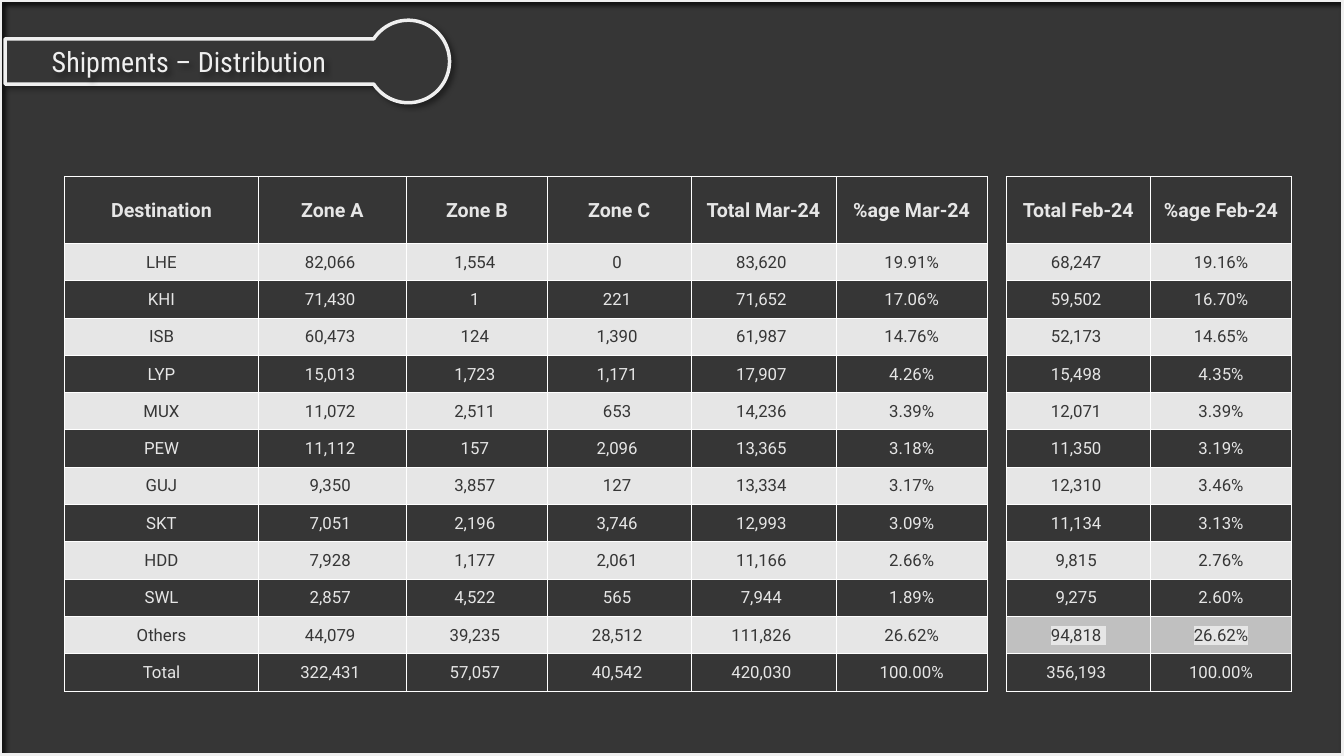
"""Build the shipments distribution slide."""
from math import acos, cos, pi, sin

from pptx import Presentation
from pptx.dml.color import RGBColor
from pptx.enum.shapes import MSO_SHAPE
from pptx.enum.text import MSO_ANCHOR, PP_ALIGN
from pptx.oxml import parse_xml
from pptx.oxml.ns import nsdecls, qn
from pptx.util import Cm, Pt

DARK = RGBColor(0x36, 0x36, 0x36)
LIGHT = RGBColor(0xE6, 0xE6, 0xE6)
OUTLINE = RGBColor(0xEF, 0xEF, 0xEF)
GRAY = RGBColor(0xC0, 0xC0, 0xC0)
WHITE = RGBColor(0xFF, 0xFF, 0xFF)
NO_STYLE = "{2D5ABB26-0587-4C30-8999-92F81FD0307C}"

SPACER = 6
COL_WIDTHS = [4.88, 3.73, 3.56, 3.61, 3.66, 3.81, 0.48, 3.63, 3.56]
HEADER_HEIGHT, ROW_HEIGHT = 1.68, 0.94
HEADERS = ["Destination", "Zone A", "Zone B", "Zone C", "Total Mar-24",
           "%age Mar-24", "", "Total Feb-24", "%age Feb-24"]
SHIPMENTS = [
    ("LHE", 82066, 1554, 0, 83620, 19.91, "", 68247, 19.16),
    ("KHI", 71430, 1, 221, 71652, 17.06, "", 59502, 16.70),
    ("ISB", 60473, 124, 1390, 61987, 14.76, "", 52173, 14.65),
    ("LYP", 15013, 1723, 1171, 17907, 4.26, "", 15498, 4.35),
    ("MUX", 11072, 2511, 653, 14236, 3.39, "", 12071, 3.39),
    ("PEW", 11112, 157, 2096, 13365, 3.18, "", 11350, 3.19),
    ("GUJ", 9350, 3857, 127, 13334, 3.17, "", 12310, 3.46),
    ("SKT", 7051, 2196, 3746, 12993, 3.09, "", 11134, 3.13),
    ("HDD", 7928, 1177, 2061, 11166, 2.66, "", 9815, 2.76),
    ("SWL", 2857, 4522, 565, 7944, 1.89, "", 9275, 2.60),
    ("Others", 44079, 39235, 28512, 111826, 26.62, "", 94818, 26.62),
    ("Total", 322431, 57057, 40542, 420030, 100.0, "", 356193, 100.0),
]


def display(value):
    """Format a count, a percentage or a label for its cell."""
    if isinstance(value, int):
        return f"{value:,} "
    if isinstance(value, float):
        return f"{value:.2f}%"
    return value


class SlideBuilder:
    """Hold the style and the current slide."""

    def __init__(self, slide, font="Roboto", title_font="Roboto Condensed"):
        self.slide = slide
        self.font = font
        self.title_font = title_font

    def background(self, color):
        """Fill the slide background."""
        fill = self.slide.background.fill
        fill.solid()
        fill.fore_color.rgb = color

    def shadow(self, sp, opacity):
        """Give a shape a diagonal black shadow."""
        sp.shadow.inherit = False
        effects = sp._element.spPr.find(qn("a:effectLst"))
        effects.append(parse_xml(
            f'<a:outerShdw {nsdecls("a")} blurRad="{Pt(4)}" dist="{Pt(3)}" '
            f'dir="2700000" algn="tl" rotWithShape="0"><a:srgbClr val="000000">'
            f'<a:alpha val="{opacity * 1000}"/></a:srgbClr></a:outerShdw>'))

    def frame(self, width, height):
        """Outline the whole slide."""
        sp = self.slide.shapes.add_shape(MSO_SHAPE.RECTANGLE, 0, 0, width, height)
        sp.fill.background()
        sp.line.color.rgb = OUTLINE
        sp.line.width = Pt(3.5)
        self.shadow(sp, 100)

    def title_plate(self, left, cx, cy, radius, half_bar):
        """Draw a bar that ends in a circle."""
        start = acos(-((radius ** 2 - half_bar ** 2) ** 0.5) / radius)
        steps = 90
        angles = [-start + 2 * start * i / steps for i in range(steps + 1)]
        arc = [(Cm(cx + radius * cos(a)), Cm(cy + radius * sin(a))) for a in angles]
        builder = self.slide.shapes.build_freeform(Cm(left), Cm(cy - half_bar))
        builder.add_line_segments(arc + [(Cm(left), Cm(cy + half_bar))], close=True)
        sp = builder.convert_to_shape()
        sp.fill.solid()
        sp.fill.fore_color.rgb = DARK
        sp.line.color.rgb = OUTLINE
        sp.line.width = Pt(2.5)
        self.shadow(sp, 40)

    def title(self, text, left, top, width, height):
        """Write the slide title."""
        sp = self.slide.shapes.add_textbox(Cm(left), Cm(top), Cm(width), Cm(height))
        tf = sp.text_frame
        tf.word_wrap = True
        tf.vertical_anchor = MSO_ANCHOR.MIDDLE
        tf.text = text
        self.style(tf.paragraphs[0], self.title_font, 20, OUTLINE)
        self.shadow(sp, 40)

    def style(self, p, font, size, color, bold=False, highlight=None):
        """Centre a paragraph and format its runs."""
        p.alignment = PP_ALIGN.CENTER
        for r in p.runs:
            r.font.name = font
            r.font.size = Pt(size)
            r.font.bold = bold
            r.font.color.rgb = color
            if highlight is not None:
                r._r.rPr.find(qn("a:solidFill")).addnext(parse_xml(
                    f'<a:highlight {nsdecls("a")}><a:srgbClr val="{highlight}"/>'
                    f'</a:highlight>'))

    def borders(self, cell, sides):
        """Draw thin white lines on the given sides of a cell."""
        tc_pr = cell._tc.get_or_add_tcPr()
        for i, side in enumerate(sides):
            tc_pr.insert(i, parse_xml(
                f'<a:ln{side} {nsdecls("a")} w="{Pt(0.5)}"><a:solidFill>'
                f'<a:srgbClr val="{WHITE}"/></a:solidFill></a:ln{side}>'))

    def cell(self, cell, text, fill, color, highlight, header):
        """Fill, frame and label one table cell."""
        cell.margin_left = cell.margin_right = cell.margin_top = Cm(0.02)
        cell.margin_bottom = 0
        cell.vertical_anchor = MSO_ANCHOR.MIDDLE
        if not text:
            cell.fill.background()
            self.borders(cell, "LR")
            return
        cell.fill.solid()
        cell.fill.fore_color.rgb = fill
        self.borders(cell, "LRTB")
        cell.text_frame.text = text
        self.style(cell.text_frame.paragraphs[0], self.font, 14 if header else 12,
                   color, header, highlight)

    def table(self, rows, left, top):
        """Add the shipments table with alternating rows."""
        height = HEADER_HEIGHT + ROW_HEIGHT * (len(rows) - 1)
        frame = self.slide.shapes.add_table(
            len(rows), len(COL_WIDTHS), Cm(left), Cm(top),
            Cm(sum(COL_WIDTHS)), Cm(height))
        table = frame.table
        table.first_row = table.horz_banding = False
        table._tbl.tblPr.find(qn("a:tableStyleId")).text = NO_STYLE
        for column, width in zip(table.columns, COL_WIDTHS):
            column.width = Cm(width)
        for i, values in enumerate(rows):
            table.rows[i].height = Cm(ROW_HEIGHT if i else HEADER_HEIGHT)
            band, color = (LIGHT, DARK) if i % 2 else (DARK, LIGHT)
            for j, value in enumerate(values):
                marked = values[0] == "Others" and j > SPACER
                self.cell(table.cell(i, j), display(value),
                          GRAY if marked else band, color, band, i == 0)


def main():
    """Create and save the presentation."""
    prs = Presentation()
    prs.slide_width, prs.slide_height = Cm(33.87), Cm(19.05)
    s = SlideBuilder(prs.slides.add_slide(prs.slide_layouts[6]))
    s.background(DARK)
    s.frame(prs.slide_width, prs.slide_height)
    s.title_plate(left=0.13, cx=10.29, cy=1.55, radius=1.04, half_bar=0.57)
    s.title("Shipments – Distribution", 0.13, 0.94, 9.27, 1.22)
    s.table([HEADERS] + SHIPMENTS, 1.63, 4.45)
    prs.save("out.pptx")


if __name__ == "__main__":
    main()
